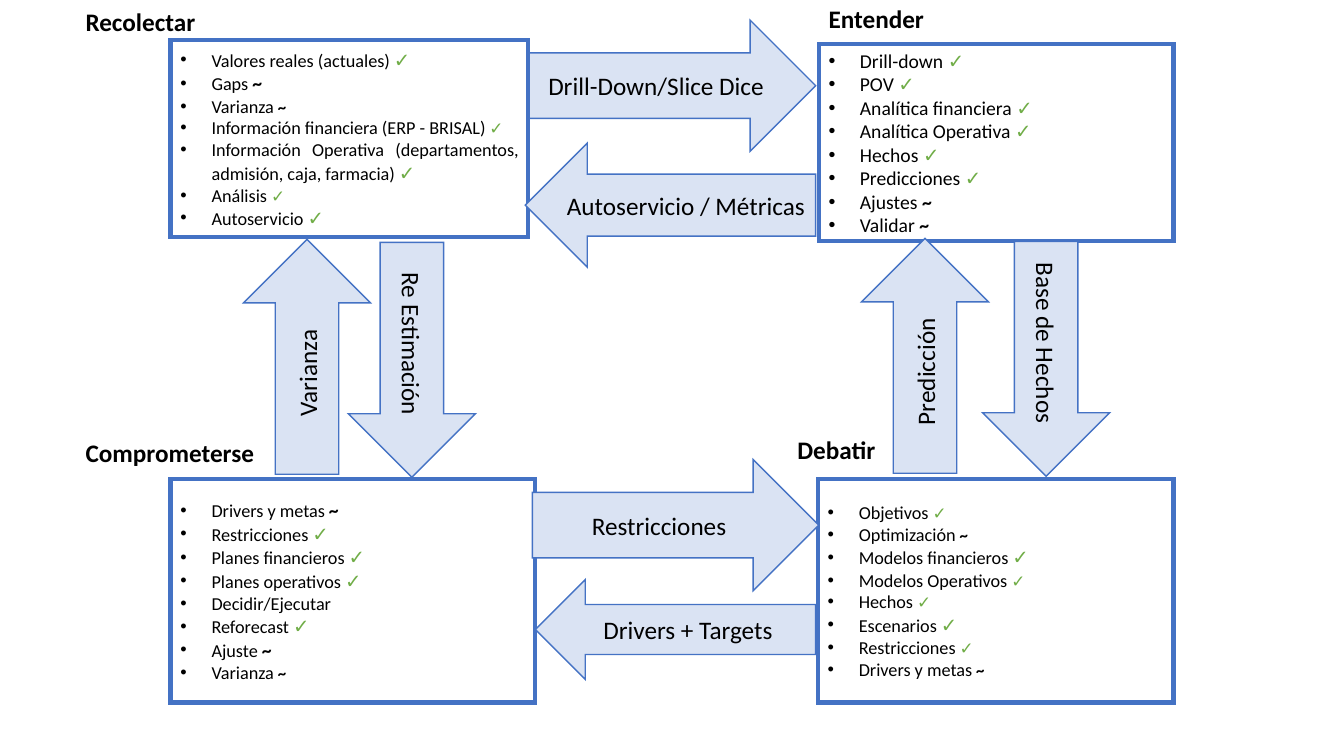
from lxml.etree import SubElement
from pptx import Presentation
from pptx.dml.color import RGBColor
from pptx.enum.shapes import MSO_SHAPE as Shape
from pptx.enum.text import MSO_ANCHOR as Anchor, MSO_AUTO_SIZE as Auto, PP_ALIGN as Align
from pptx.oxml.ns import qn
from pptx.util import Pt

PX = 9144  # 100 px to the inch
FONT = "Calibri"
BLACK = RGBColor(0x00, 0x00, 0x00)
BLUE = RGBColor(0x44, 0x72, 0xC4)
PALE = RGBColor(0xDA, 0xE3, 0xF3)
GREEN = RGBColor(0x70, 0xAD, 0x47)
INDENT = 31
OK, HALF = "✓", "~"

# Boxes: place, text size, items as (text, mark, mark size)
BOXES = [
    ((169, 40, 355, 195), 13, [
        ("Valores reales (actuales)", OK, 14),
        ("Gaps", HALF, 14),
        ("Varianza", HALF, 12),
        ("Información financiera (ERP - BRISAL)", OK, 12),
        ("Información Operativa (departamentos, admisión, caja, farmacia)", OK, 14),
        ("Análisis", OK, 12),
        ("Autoservicio", OK, 14),
    ]),
    ((812, 44, 352, 195), 14, [
        ("Drill-down", OK, 14),
        ("POV", OK, 14),
        ("Analítica financiera", OK, 14),
        ("Analítica Operativa", OK, 14),
        ("Hechos", OK, 14),
        ("Predicciones", OK, 14),
        ("Ajustes", HALF, 14),
        ("Validar", HALF, 14),
    ]),
    ((811, 475, 353, 222), 13, [
        ("Objetivos", OK, 12),
        ("Optimización", HALF, 12),
        ("Modelos financieros", OK, 14),
        ("Modelos Operativos", OK, 12),
        ("Hechos", OK, 12),
        ("Escenarios", OK, 14),
        ("Restricciones", OK, 12),
        ("Drivers y metas", HALF, 12),
    ]),
    ((169, 475, 362, 222), 13, [
        ("Drivers y metas", HALF, 14),
        ("Restricciones", OK, 14),
        ("Planes financieros", OK, 14),
        ("Planes operativos", OK, 14),
        ("Decidir/Ejecutar", None, 0),
        ("Reforecast", OK, 14),
        ("Ajuste", HALF, 14),
        ("Varianza", HALF, 12),
    ]),
]

# Arrows: text, preset, place, turn
LEFT, RIGHT = Shape.LEFT_ARROW, Shape.RIGHT_ARROW
ARROWS = [
    ("Drivers + Targets", LEFT, (531, 575, 278, 99), 0),
    ("Autoservicio / Métricas", LEFT, (521, 142, 288, 123), 0),
    ("Drill-Down/Slice Dice", RIGHT, (525, 20, 284, 130), 0),
    ("Varianza", RIGHT, (188, 291, 233, 126), 270),
    ("Re Estimación", RIGHT, (292, 294, 233, 126), 90),
    ("Predicción", RIGHT, (801, 290, 233, 126), 270),
    ("Base de Hechos", RIGHT, (921, 293, 233, 126), 90),
    ("Restricciones", RIGHT, (528, 456, 284, 130), 0),
]

TITLES = [
    ("Recolectar", (75, 1, 130, 40)),
    ("Entender", (812, -2, 118, 40)),
    ("Comprometerse", (75, 429, 188, 40)),
    ("Debatir", (781, 426, 98, 40)),
]


def scale(place):
    return [n * PX for n in place]


def add_run(para, text, size, color=BLACK, bold=False):
    run = para.add_run()
    run.text = text
    font = run.font
    font.name, font.size, font.bold = FONT, Pt(size), bold
    font.color.rgb = color


def add_form(slide, kind, place, width):
    form = slide.shapes.add_shape(kind, *scale(place))
    form.shadow.inherit = False
    form.line.color.rgb = BLUE
    form.line.width = Pt(width)
    # Square corners
    SubElement(form.line._ln, qn("a:miter"), lim="800000")
    frame = form.text_frame
    frame.word_wrap = True
    frame.vertical_anchor = Anchor.MIDDLE
    return form


def set_bullet(para):
    props = para._p.get_or_add_pPr()
    props.set("marL", str(INDENT * PX))
    props.set("indent", str(-INDENT * PX))
    SubElement(props, qn("a:buFont"), typeface="Arial")
    SubElement(props, qn("a:buChar"), char="•")


def add_box(slide, place, size, items):
    box = add_form(slide, Shape.RECTANGLE, place, 3)
    box.fill.background()
    frame = box.text_frame
    for i, (text, mark, big) in enumerate(items):
        para = frame.add_paragraph() if i else frame.paragraphs[0]
        para.alignment = Align.JUSTIFY
        set_bullet(para)
        add_run(para, text + " " if mark else text, size)
        if mark == OK:
            add_run(para, mark, big, GREEN)
        elif mark:
            add_run(para, mark, big, bold=True)


def add_arrow(slide, text, kind, place, turn):
    arrow = add_form(slide, kind, place, 1)
    arrow.fill.solid()
    arrow.fill.fore_color.rgb = PALE
    arrow.rotation = turn
    frame = arrow.text_frame
    frame.margin_left = frame.margin_right = 0
    para = frame.paragraphs[0]
    para.alignment = Align.CENTER
    add_run(para, text, 18)


def add_title(slide, text, place):
    frame = slide.shapes.add_textbox(*scale(place)).text_frame
    frame.word_wrap = False
    frame.auto_size = Auto.SHAPE_TO_FIT_TEXT
    add_run(frame.paragraphs[0], text, 18, bold=True)


def main():
    deck = Presentation()
    deck.slide_width, deck.slide_height = scale((1333, 750))
    slide = deck.slides.add_slide(deck.slide_layouts[6])
    for box in BOXES:
        add_box(slide, *box)
    for arrow in ARROWS:
        add_arrow(slide, *arrow)
    for title in TITLES:
        add_title(slide, *title)
    deck.save("out.pptx")


if __name__ == "__main__":
    main()
